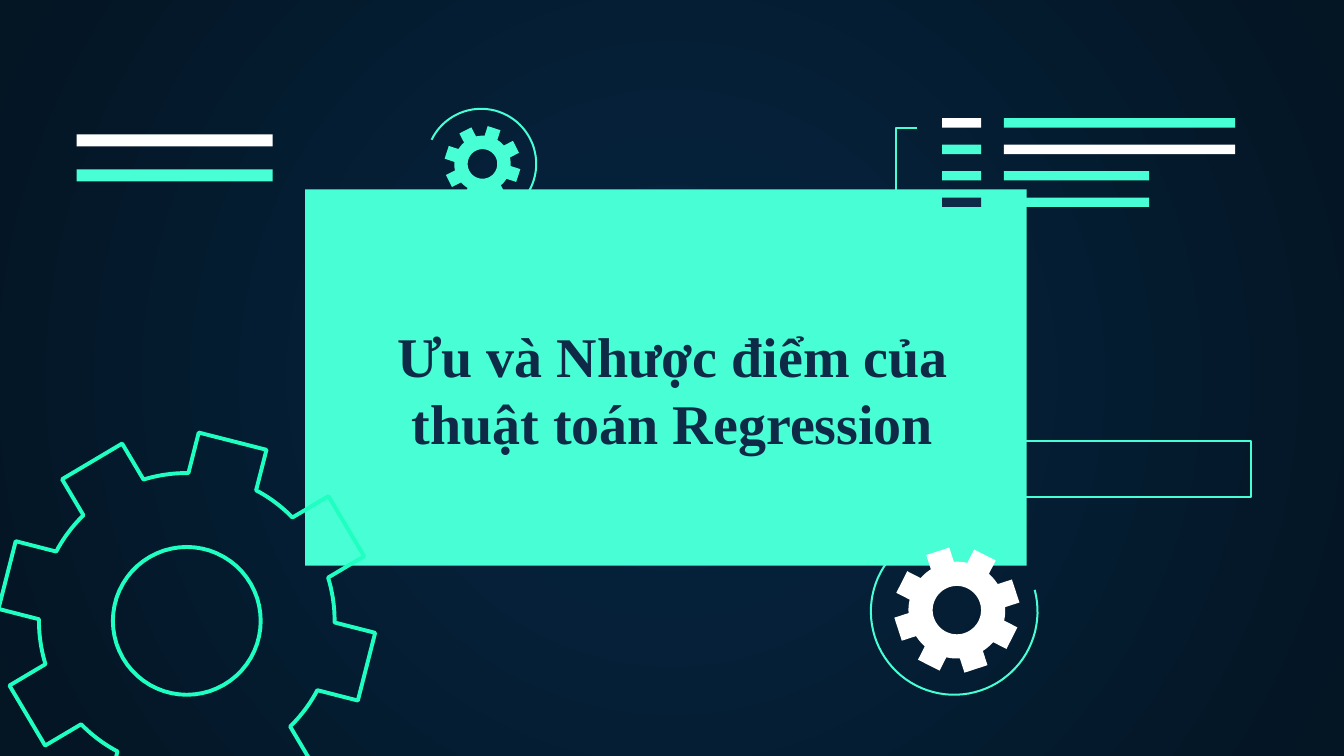
from dataclasses import dataclass
from math import asin, cos, pi, radians, sin, sqrt

from lxml.etree import SubElement
from pptx import Presentation
from pptx.dml.color import RGBColor
from pptx.enum.shapes import MSO_SHAPE
from pptx.enum.text import MSO_ANCHOR, PP_ALIGN
from pptx.oxml.ns import qn
from pptx.util import Inches, Pt


@dataclass
class Theme:
    """Colours, font, type size and line widths of the deck."""
    mint: str = "48FFD5"
    neon: str = "1EFFC1"
    white: str = "FFFFFF"
    navy: str = "0E2A47"
    glow: str = "052643"
    edge: str = "041523"
    font: str = "Times New Roman"
    size: float = 30
    thin: float = 1.09
    thick: float = 2.1


def arc(x, y, size, start, end, steps=60):
    """Return points on a circle between two angles in radians."""
    turns = [start + (end - start) * i / steps for i in range(steps + 1)]
    return [(x + size * cos(t), y + size * sin(t)) for t in turns]


def teeth(x, y, tip, root, half, phase, count=8):
    """Return the outline of a gear with straight-sided teeth."""
    points = []
    step, lean = 2 * pi / count, asin(half / root)
    base = sqrt(root ** 2 - half ** 2)
    for i in range(count):
        turn = radians(phase) + i * step
        for out, side in ((base, -half), (tip, -half), (tip, half)):
            points.append((x + out * cos(turn) - side * sin(turn),
                           y + out * sin(turn) + side * cos(turn)))
        points += arc(x, y, root, turn + lean, turn + step - lean, 10)
    return points


class Deck:
    """Draws elements on the current slide in one style."""

    def __init__(self, theme):
        self.theme = theme
        self.show = Presentation()
        self.show.slide_width = Inches(10)
        self.show.slide_height = Inches(10 * 9 / 16)
        self.slide = self.show.slides.add_slide(self.show.slide_layouts[0])
        title = self.slide.shapes.title.element
        title.getparent().remove(title)

    def backdrop(self):
        """Fill the background with a radial gradient."""
        fill = self.slide.background.fill
        fill.gradient()
        for stop, tone in zip(fill.gradient_stops, (self.theme.glow, self.theme.edge)):
            stop.color.rgb = RGBColor.from_string(tone)
        first, last = fill.gradient_stops
        first.position, last.position = 0, 1
        grad = self.slide.element.find(".//" + qn("a:gradFill"))
        grad.remove(grad.find(qn("a:lin")))
        shade = SubElement(grad, qn("a:path"), {"path": "circle"})
        SubElement(shade, qn("a:fillToRect"), dict.fromkeys("ltrb", "50000"))

    def paint(self, shape, fill=None, line=None, width=None):
        """Set the fill and outline of a shape."""
        shape.shadow.inherit = False
        if fill:
            shape.fill.solid()
            shape.fill.fore_color.rgb = RGBColor.from_string(fill)
        else:
            shape.fill.background()
        if line:
            shape.line.color.rgb = RGBColor.from_string(line)
            shape.line.width = Pt(width)
        else:
            shape.line.fill.background()

    def rect(self, x, y, wide, high, **look):
        """Add a rectangle."""
        shape = self.slide.shapes.add_shape(
            MSO_SHAPE.RECTANGLE, Inches(x), Inches(y), Inches(wide), Inches(high))
        self.paint(shape, **look)

    def outline(self, rings, close, **look):
        """Add a freeform made of one or more contours."""
        rings = [[(Inches(x), Inches(y)) for x, y in ring] for ring in rings]
        pen = self.slide.shapes.build_freeform(*rings[0][0])
        for i, ring in enumerate(rings):
            if i:
                pen.move_to(*ring[0])
            pen.add_line_segments(ring[1:], close=close)
        self.paint(pen.convert_to_shape(), **look)

    def gear(self, x, y, tip, root, hole, half, phase, **look):
        """Add a gear with a round hole."""
        rim = teeth(x, y, tip, root, half, phase)
        self.outline([rim, arc(x, y, hole, 2 * pi, 0)], True, **look)

    def trace(self, points):
        """Add a thin open line through points."""
        self.outline([points], False, line=self.theme.mint, width=self.theme.thin)

    def heading(self, text, x, y, wide, high):
        """Write the heading in the subtitle placeholder, in front."""
        box = self.slide.placeholders[1]
        box.left, box.top = Inches(x), Inches(y)
        box.width, box.height = Inches(wide), Inches(high)
        frame = box.text_frame
        frame.text = text
        frame.word_wrap = True
        frame.vertical_anchor = MSO_ANCHOR.TOP
        frame.margin_left = frame.margin_right = Inches(0.1)
        frame.margin_top = frame.margin_bottom = Inches(0.1)
        para = frame.paragraphs[0]
        para.alignment = PP_ALIGN.CENTER
        para.space_before = Pt(0)
        para.line_spacing = 1.0
        para.font.name = self.theme.font
        para.font.size = Pt(self.theme.size)
        para.font.bold = True
        para.font.color.rgb = RGBColor.from_string(self.theme.navy)
        box.element.getparent().append(box.element)


def main():
    """Build the section slide."""
    look = Theme()
    deck = Deck(look)
    deck.backdrop()
    deck.rect(2.27, 1.41, 5.37, 2.8, fill=look.mint)
    deck.trace(arc(3.58, 1.22, 0.41, radians(-154), radians(96)))
    deck.trace(arc(7.1, 4.55, 0.62, radians(-15), radians(233)))
    deck.gear(1.39, 4.62, 1.38, 1.1, 0.55, 0.26, 14.3, line=look.neon, width=look.thick)
    deck.gear(7.12, 4.54, 0.46, 0.36, 0.18, 0.09, 27, fill=look.white)
    deck.gear(3.59, 1.22, 0.28, 0.21, 0.11, 0.05, 18, fill=look.mint)

    rows = ((look.white, look.mint, 1.72), (look.mint, look.white, 1.72),
            (look.mint, look.mint, 1.08), (look.navy, look.mint, 1.08))
    for i, (dash, bar, wide) in enumerate(rows):
        y = 0.88 + 0.59 * i / 3
        deck.rect(7.01, y, 0.29, 0.07, fill=dash)
        deck.rect(7.47, y, wide, 0.07, fill=bar)
    deck.trace([(6.83, 1.56), (6.67, 1.56), (6.67, 0.95), (6.82, 0.95)])
    for y, tone in ((1, look.white), (1.26, look.mint)):
        deck.rect(0.57, y, 1.46, 0.09, fill=tone)
    deck.rect(7.2, 3.28, 2.11, 0.42, line=look.mint, width=look.thin)
    deck.heading("Ưu và Nhược điểm của thuật toán Regression", 2.48, 2.29, 5.05, 2.25)
    deck.show.save("out.pptx")


if __name__ == "__main__":
    main()
